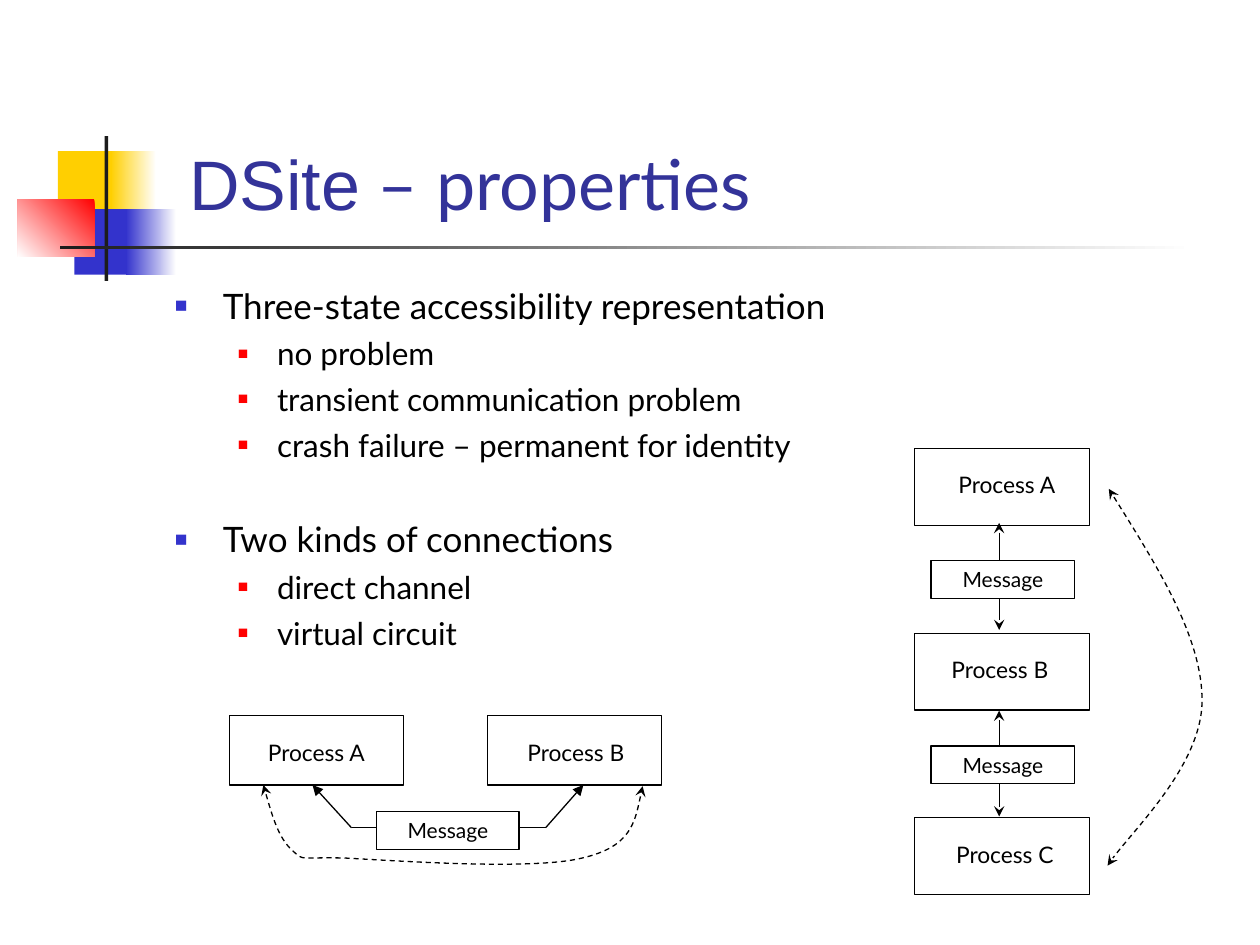
from lxml.etree import SubElement
from pptx import Presentation
from pptx.dml.color import RGBColor
from pptx.enum.dml import MSO_LINE
from pptx.enum.shapes import MSO_CONNECTOR, MSO_SHAPE
from pptx.enum.text import MSO_ANCHOR, PP_ALIGN
from pptx.oxml.ns import qn
from pptx.util import Inches, Pt

BLACK, WHITE, DARK = "000000", "FFFFFF", "1C1C1C"
YELLOW, BLUE, RED, TITLE_BLUE = "FFCF01", "3333CC", "FF0000", "333399"
FONT = "Lato"


def set_color(target, color):
    target.rgb = RGBColor.from_string(color)


def add_span(para, text, size, color=BLACK, font=FONT):
    span = para.add_run()
    span.text = text
    span.font.size = Pt(size)
    span.font.name = font
    set_color(span.font.color, color)


def add_rect(page, left, top, width, height, fill=None, line=None):
    rect = page.shapes.add_shape(MSO_SHAPE.RECTANGLE, Inches(left), Inches(top),
                                 Inches(width), Inches(height))
    rect.shadow.inherit = False
    if fill:
        rect.fill.solid()
        set_color(rect.fill.fore_color, fill)
    else:
        rect.fill.background()
    if line:
        set_color(rect.line.color, line)
        rect.line.width = Pt(0.75)
    else:
        rect.line.fill.background()
    return rect


def add_gradient(page, left, top, width, height, start, end, angle=180):
    fill = add_rect(page, left, top, width, height).fill
    fill.gradient()
    fill.gradient_angle = angle
    for stop, color in zip(fill.gradient_stops, (start, end)):
        set_color(stop.color, color)


def add_text_box(page, left, top, width, height, wrap=True):
    box = page.shapes.add_textbox(Inches(left), Inches(top), Inches(width), Inches(height))
    box.text_frame.word_wrap = wrap
    return box.text_frame


def style_line(shape, head=None, tail=None):
    set_color(shape.line.color, BLACK)
    shape.line.width = Pt(0.75)
    outline = shape.line._get_or_add_ln()
    for tag, kind in (("a:headEnd", head), ("a:tailEnd", tail)):
        if kind:
            SubElement(outline, qn(tag), type=kind)


def add_line(page, start, end, head=None, tail=None):
    x1, y1, x2, y2 = (Inches(value) for value in start + end)
    line = page.shapes.add_connector(MSO_CONNECTOR.STRAIGHT, x1, y1, x2, y2)
    style_line(line, head, tail)
    SubElement(line._element.spPr, qn("a:effectLst"))


def add_curve(page, start, points):
    """Dashed two-headed curve; every three points make one Bezier segment."""
    builder = page.shapes.build_freeform(Inches(start[0]), Inches(start[1]))
    builder.add_line_segments([(Inches(x), Inches(y)) for x, y in points], close=False)
    curve = builder.convert_to_shape()
    curve.shadow.inherit = False
    curve.fill.background()
    curve.line.dash_style = MSO_LINE.DASH
    style_line(curve, "stealth", "stealth")
    outline = next(curve._element.iter(qn("a:path")))
    steps = outline.findall(qn("a:lnTo"))
    for first in range(0, len(steps), 3):
        segment = SubElement(outline, qn("a:cubicBezTo"))
        for step in steps[first:first + 3]:
            segment.append(step[0])
            outline.remove(step)


def add_process(page, name, left, top, width, height, label_left, label_width):
    add_rect(page, left, top, width, height, line=BLACK)
    frame = add_text_box(page, label_left, top + 0.13, label_width, 0.32, wrap=False)
    para = frame.paragraphs[0]
    para.alignment = PP_ALIGN.CENTER
    add_span(para, "Process " + name, 13)


def add_message(page, left, top, width, fill=None):
    frame = add_rect(page, left, top, width, 0.3, fill, BLACK).text_frame
    frame.vertical_anchor = MSO_ANCHOR.TOP
    para = frame.paragraphs[0]
    para.alignment = PP_ALIGN.CENTER
    add_span(para, "Message", 12)


def add_bullet(para, text, level, space):
    indent, hanging, size, color, scale = ((0.38, 0.38, 20, BLUE, 60),
                                           (0.81, 0.31, 18, RED, 55))[level]
    para.level = level
    para.space_before = Pt(space)
    props = para._p.get_or_add_pPr()
    props.set("marL", str(Inches(indent)))
    props.set("indent", str(-Inches(hanging)))
    SubElement(SubElement(props, qn("a:buClr")), qn("a:srgbClr"), val=color)
    SubElement(props, qn("a:buSzPct"), val=str(scale * 1000))
    SubElement(props, qn("a:buFont"), typeface="Arial")
    SubElement(props, qn("a:buChar"), char="■")
    add_span(para, text, size)


def add_ornament(page):
    add_rect(page, 0.46, 1.2, 0.48, 0.52, YELLOW)
    add_gradient(page, 0.88, 1.2, 0.36, 0.52, WHITE, YELLOW)
    add_rect(page, 0.59, 1.66, 0.46, 0.52, BLUE)
    add_gradient(page, 1, 1.66, 0.4, 0.52, WHITE, BLUE)
    add_gradient(page, 0.14, 1.58, 0.61, 0.46, RED, WHITE, 225)
    add_rect(page, 0.83, 1.08, 0.03, 1.15, DARK)
    add_gradient(page, 0.48, 1.95, 9, 0.03, WHITE, DARK)


def add_title(page):
    frame = add_text_box(page, 1.26, 0.23, 8.52, 1.6)
    frame.vertical_anchor = MSO_ANCHOR.BOTTOM
    para = frame.paragraphs[0]
    for text, font in ((" ", FONT), ("DSite", "Arial"), (" – properties", FONT)):
        add_span(para, text, 40, TITLE_BLUE, font)


def add_body(page):
    frame = add_text_box(page, 1.29, 2.21, 7.09, 4.5)
    items = (("Three-state accessibility representation", 0, 5),
             ("no problem", 1, 4.5),
             ("transient communication problem", 1, 4.5),
             ("crash failure – permanent for identity", 1, 4.5),
             ("Two kinds of connections", 0, 31),
             ("direct channel", 1, 4.5),
             ("virtual circuit", 1, 4.5))
    for index, item in enumerate(items):
        para = frame.add_paragraph() if index else frame.paragraphs[0]
        add_bullet(para, *item)


def add_direct_channel(page):
    add_process(page, "A", 1.82, 5.68, 1.38, 0.55, 2.02, 0.98)
    add_process(page, "B", 3.87, 5.68, 1.38, 0.55, 4.06, 1.02)
    add_message(page, 2.99, 6.44, 1.13)
    # Elbows from the message to both processes
    for near, bend, tip in ((4.13, 4.33, 4.63), (2.99, 2.79, 2.48)):
        add_line(page, (near, 6.57), (bend, 6.57))
        add_line(page, (bend, 6.57), (tip, 6.23), tail="triangle")
    add_curve(page, (2.09, 6.23), [
        (2.15, 6.44), (2.21, 6.65), (2.32, 6.75),
        (2.42, 6.84), (2.36, 6.8), (2.74, 6.81),
        (3.12, 6.83), (4.22, 6.91), (4.62, 6.81),
        (5.01, 6.72), (5.05, 6.48), (5.1, 6.24)])


def add_virtual_circuit(page):
    labels = (("A", 7.5, 0.98), ("B", 7.45, 0.97), ("C", 7.46, 1.03))
    for row, (name, label_left, label_width) in enumerate(labels):
        add_process(page, name, 7.26, 3.56 + 1.465 * row, 1.39, 0.61, label_left, label_width)
    # Arrows, with the messages on top of them
    for top, bottom, message_top in ((4.15, 5, 4.45), (5.64, 6.48, 5.92)):
        add_line(page, (7.93, top), (7.93, bottom), "stealth", "stealth")
        add_message(page, 7.39, message_top, 1.14, WHITE)
    add_curve(page, (8.8, 3.88), [
        (9.17, 4.47), (9.54, 5.06), (9.54, 5.56),
        (9.54, 6.06), (8.92, 6.66), (8.79, 6.87)])


def main():
    deck = Presentation()
    deck.slide_width, deck.slide_height = Inches(10), Inches(7.5)
    page = deck.slides.add_slide(deck.slide_layouts[6])
    add_ornament(page)
    add_title(page)
    add_body(page)
    add_direct_channel(page)
    add_virtual_circuit(page)
    deck.save("out.pptx")


if __name__ == "__main__":
    main()
